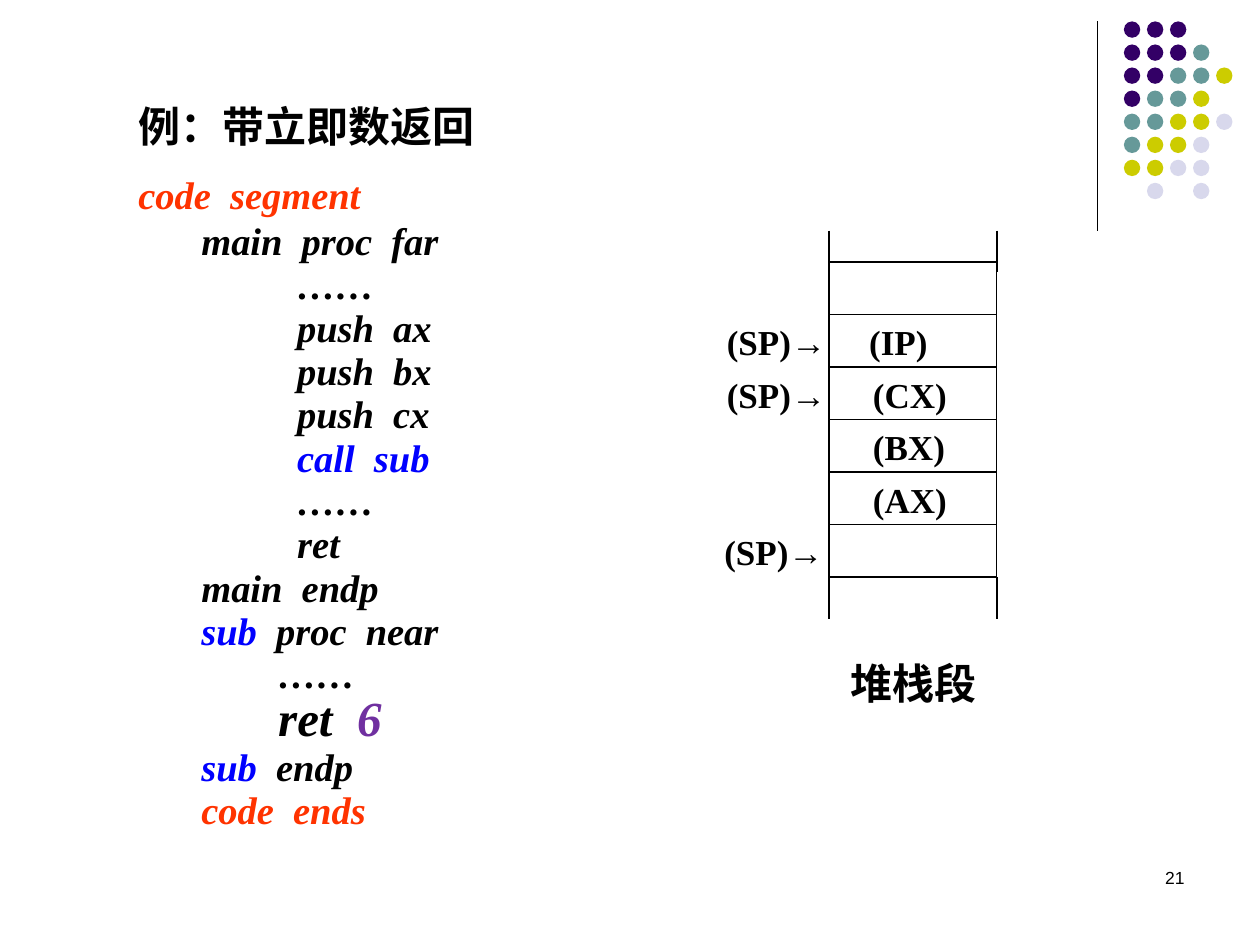
from dataclasses import dataclass

from lxml.etree import SubElement
from pptx import Presentation
from pptx.dml.color import RGBColor
from pptx.enum.shapes import MSO_CONNECTOR, MSO_SHAPE
from pptx.enum.text import MSO_AUTO_SIZE, PP_ALIGN
from pptx.oxml.ns import qn
from pptx.util import Inches, Pt


@dataclass(frozen=True)
class Theme:
    """Colours, fonts and type sizes of the slide."""
    black: str = "000000"
    red: str = "FF3300"
    blue: str = "0000FF"
    purple: str = "7030A0"
    dots: tuple = ("330066", "669999", "CCCC00", "D8D8EC")
    serif: str = "Times New Roman"
    sans: str = "Arial"
    title: int = 24
    code: int = 22
    big: int = 28
    label: int = 20
    number: int = 10


T = Theme()

DOT_ROWS = ("000", "0001", "00112", "0112", "11223", "1223", "2233", " 3 3")

CODE = (
    (0.5, [("main  proc  far", T.black)]),
    (1.26, [("……", T.black)]),
    (1.26, [("push  ax", T.black)]),
    (1.26, [("push  bx", T.black)]),
    (1.26, [("push  cx", T.black)]),
    (1.26, [("call  sub", T.blue)]),
    (1.26, [("……", T.black)]),
    (1.26, [("ret", T.black)]),
    (0.5, [("main  endp", T.black)]),
    (0.5, [("sub", T.blue), ("  proc  near", T.black)]),
    (1.11, [("……", T.black)]),
    (1.11, [("ret  ", T.black, T.big), ("6", T.purple, T.big)]),
    (0.5, [("sub", T.blue), ("  endp", T.black)]),
    (0.5, [("code  ends", T.red)]),
)


def rgb(color):
    """Return the colour object for a hex string."""
    return RGBColor.from_string(color)


def set_font(font, size, color=T.black, bold=True, italic=False, name=T.serif):
    """Set the look of a paragraph or run font."""
    font.name, font.size = name, Pt(size)
    font.bold, font.italic = bold, italic
    font.color.rgb = rgb(color)


def add_line(shapes, x1, y1, x2, y2, width):
    """Draw a plain black line without a shadow."""
    line = shapes.add_connector(MSO_CONNECTOR.STRAIGHT, Inches(x1), Inches(y1),
                                Inches(x2), Inches(y2))
    line.line.color.rgb = rgb(T.black)
    line.line.width = Pt(width)
    SubElement(line._element.spPr, qn("a:effectLst"))


def add_text(shapes, x, y, w, h, text, size=T.label, wrap=True, **look):
    """Add a text box with one paragraph and return its text frame."""
    tf = shapes.add_textbox(Inches(x), Inches(y), Inches(w), Inches(h)).text_frame
    tf.word_wrap = wrap
    tf.auto_size = MSO_AUTO_SIZE.NONE
    p = tf.paragraphs[0]
    p.text = text
    set_font(p.font, size, **look)
    return tf


def add_tab(p, pos):
    """Give a paragraph one left tab stop."""
    tabs = SubElement(p._p.get_or_add_pPr(), qn("a:tabLst"))
    p._p.pPr.insert(0, tabs)
    SubElement(tabs, qn("a:tab"), pos=str(Inches(pos)), algn="l")


def add_code_line(tf, indent, runs, spacing):
    """Append an indented line of code made of coloured runs."""
    p = tf.add_paragraph()
    p.space_before = Pt(T.code / 2 + 0.5)
    p.line_spacing = spacing
    p._p.get_or_add_pPr().set("marL", str(Inches(indent)))
    p._p.pPr.set("indent", "0")
    for text, color, *size in runs:
        r = p.add_run()
        r.text = text
        set_font(r.font, size[0] if size else T.code, color, italic=True)


def add_ornament(slide, x, y, h):
    """Draw the corner rule and its grid of dots."""
    pitch, size = 0.183, 0.13
    add_line(slide.shapes, x, y, x, y + h, 0.75)
    group = slide.shapes.add_group_shape().shapes
    for row, codes in enumerate(DOT_ROWS):
        for col, code in enumerate(codes):
            if code == " ":
                continue
            sp = group.add_shape(MSO_SHAPE.OVAL, Inches(x + 0.21 + col * pitch),
                                 Inches(y + row * pitch), Inches(size), Inches(size))
            sp.shadow.inherit = False
            sp.fill.solid()
            sp.fill.fore_color.rgb = rgb(T.dots[int(code)])
            sp.line.fill.background()


def add_listing(slide, x, y, w, h):
    """Place the heading and the program listing."""
    tf = add_text(slide.shapes, x, y, w, h, "例：带立即数返回", T.title)
    add_code_line(tf, 0, [("code  segment", T.red)], 1.0)
    for indent, runs in CODE:
        add_code_line(tf, indent, runs, 0.5)


def add_stack(slide, x, y, w, h):
    """Draw the stack cells, their contents, the pointers and the caption."""
    rows, tail = 6, 0.33
    row_h = h / rows
    group = slide.shapes.add_group_shape().shapes
    for i in range(rows):
        sp = group.add_shape(MSO_SHAPE.RECTANGLE, Inches(x), Inches(y + i * row_h),
                             Inches(w), Inches(row_h))
        sp.shadow.inherit = False
        sp.fill.background()
        sp.line.color.rgb = rgb(T.black)
        sp.line.width = Pt(1)
    for side in (x, x + w):
        for top in (y - 0.25, y + h):
            add_line(group, side, top, side, top + tail, 1)
    for i, text in enumerate(("(CX)", "(BX)", "(AX)"), 2):
        add_text(group, x + 0.25, y + i * row_h, 0.92, 0.43, text)

    shapes = slide.shapes
    tf = add_text(shapes, x - 0.91, y + row_h, 1.92, 0.43, "(SP)→\t(IP)")
    add_tab(tf.paragraphs[0], 1.13)
    add_text(shapes, x - 0.91, y + 2 * row_h, 0.98, 0.43, "(SP)→", wrap=False)
    add_text(shapes, x - 0.93, y + 5 * row_h, 1.01, 0.43, "(SP)→", wrap=False)
    add_text(shapes, x + 0.07, y + h + 0.59, 1.76, 0.5, "堆栈段", T.title)


def add_number(slide, x, y, w, h):
    """Place the page number."""
    tf = add_text(slide.shapes, x, y, w, h, "21", T.number, bold=False, name=T.sans)
    tf.paragraphs[0].alignment = PP_ALIGN.RIGHT


def main():
    """Build the slide and save it."""
    prs = Presentation()
    prs.slide_width, prs.slide_height = Inches(10), Inches(7.5)
    slide = prs.slides.add_slide(prs.slide_layouts[6])
    add_ornament(slide, 8.71, 0.17, 1.66)
    add_stack(slide, 6.58, 2.08, 1.33, 2.5)
    add_listing(slide, 1, 0.75, 3.92, 6.37)
    add_number(slide, 7.17, 6.83, 2.33, 0.5)
    prs.save("out.pptx")


if __name__ == "__main__":
    main()
